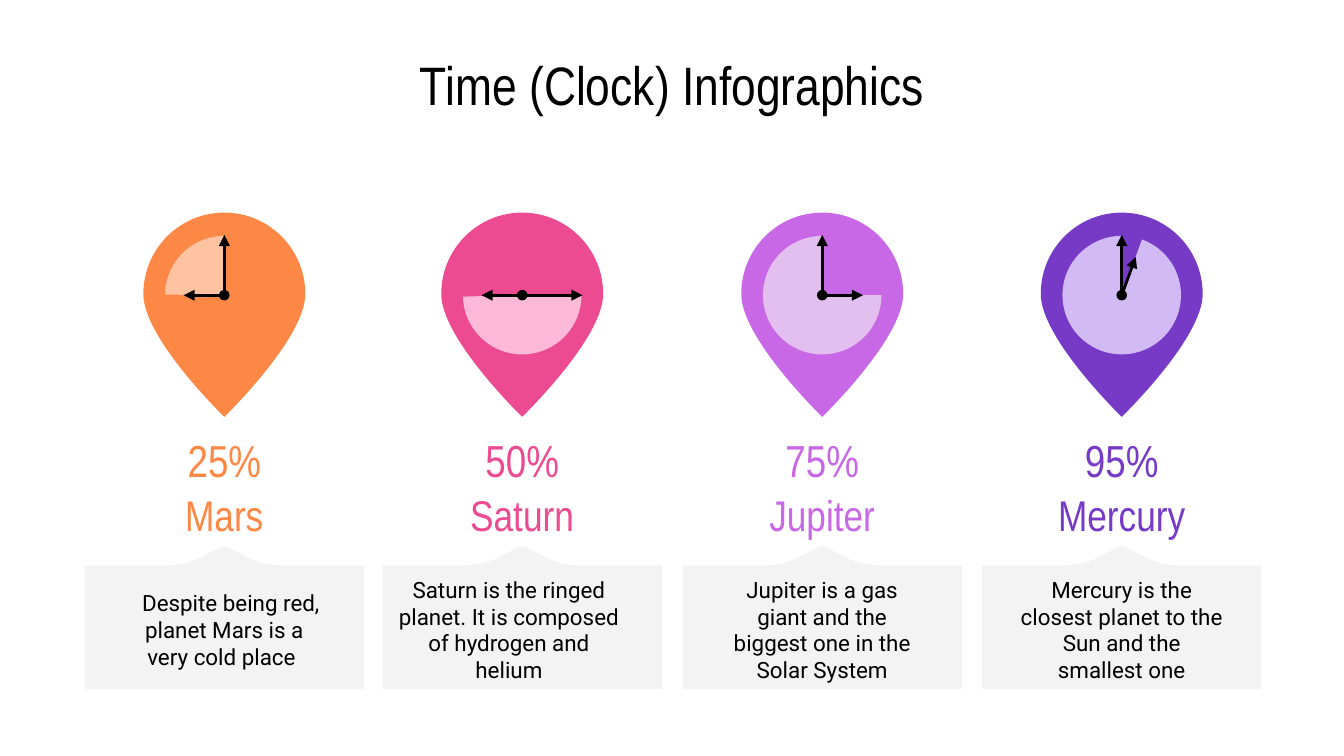
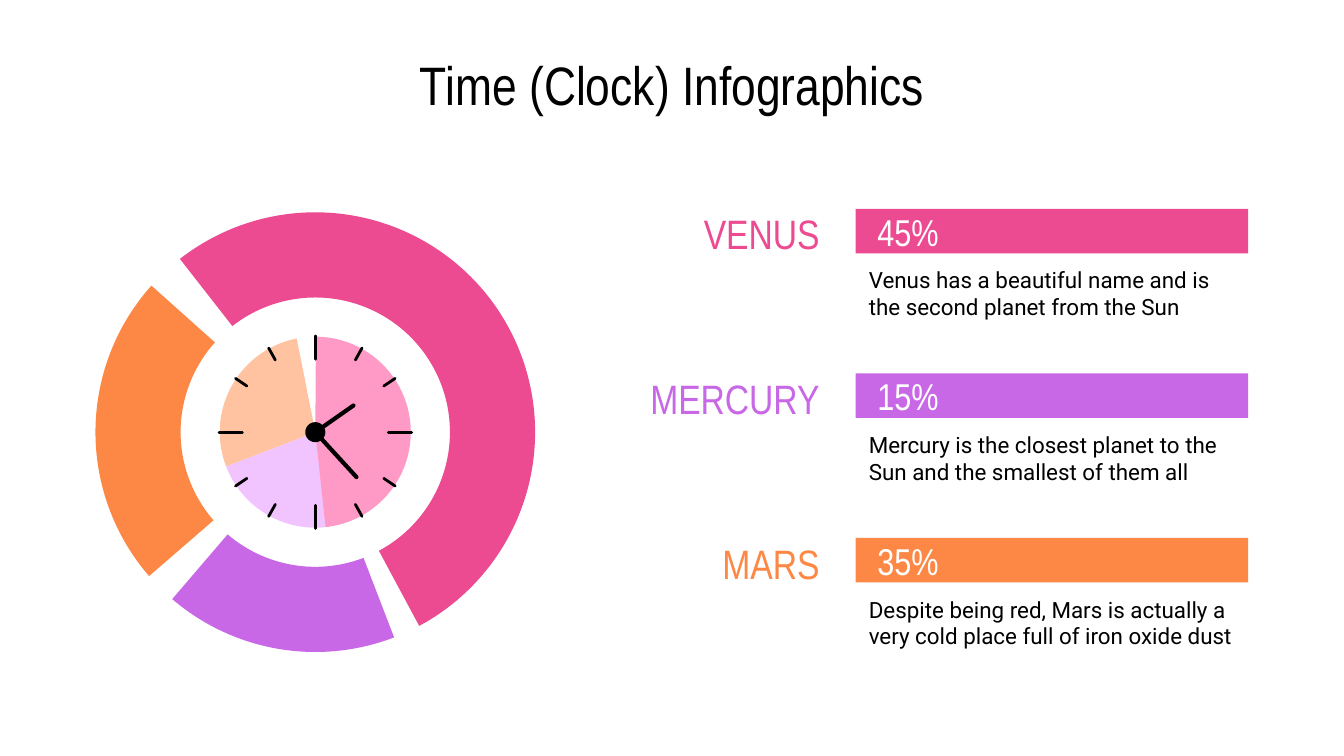
from dataclasses import dataclass
from math import cos, radians, sin

from lxml import etree
from pptx import Presentation
from pptx import util as u
from pptx.dml.color import RGBColor
from pptx.enum import shapes, text
from pptx.oxml.ns import qn
from pptx.shapes.autoshape import Shape
from pptx.slide import Slide
from pptx.text.text import TextFrame

COLORS = {
    "black": "000000",
    "white": "FFFFFF",
    "callout": "F3F3F3",
    "orange": "FD8845",
    "pink": "EC4A91",
    "orchid": "C868E6",
    "purple": "763AC7",
    "light_orange": "FFC3A1",
    "light_pink": "FFB9D8",
    "light_orchid": "E3BFEF",
    "light_purple": "D2BAF4",
    "dial_pink": "FF99C5",
    "dial_orchid": "F1C4FF",
}
HEADING_FONT = "Arial Narrow"
BODY_FONT = "Roboto"
TITLE = "Time (Clock) Infographics"
INSET = 0.25
WIDE_INSET = 0.75

Point = tuple[float, float]


@dataclass(frozen=True)
class Style:
    size: float
    color: str
    font: str = HEADING_FONT
    align: text.PP_ALIGN = text.PP_ALIGN.CENTER
    anchor: text.MSO_ANCHOR = text.MSO_ANCHOR.MIDDLE
    left_inset: float = INSET
    right_inset: float = INSET
    first_indent: float = 0


@dataclass(frozen=True)
class Pin:
    center_x: float
    percent: str
    planet: str
    description: str
    color: str
    light: str
    sector: tuple[float, float]
    minute_angle: float
    hour_angle: float
    left_inset: float = WIDE_INSET
    first_indent: float = 0


@dataclass(frozen=True)
class Segment:
    planet: str
    percent: str
    description: str
    color: str
    dial_color: str
    ring: tuple[float, float]
    sector: tuple[float, float]


PINS = [
    Pin(4.24, "25%", "Mars", "Despite being red, planet Mars is a very cold place ",
        "orange", "light_orange", (180.5, 270), 270, 180, first_indent=0.25),
    Pin(9.87, "50%", "Saturn", "Saturn is the ringed planet. It is composed of hydrogen and helium",
        "pink", "light_pink", (0, 178.6), 0, 180, left_inset=INSET),
    Pin(15.54, "75%", "Jupiter", "Jupiter is a gas giant and the biggest one in the Solar System",
        "orchid", "light_orchid", (0, 270), 270, 0),
    Pin(21.2, "95%", "Mercury", "Mercury is the closest planet to the Sun and the smallest one",
        "purple", "light_purple", (290, 270), 270, 290),
]
SEGMENTS = [
    Segment("VENUS", " 45%", "Venus has a beautiful name and is the second planet from the Sun",
            "pink", "dial_pink", (232, 61.8), (270.4, 83.8)),
    Segment("MERCURY", " 15%", "Mercury is the closest planet to the Sun and the smallest of them all",
            "orchid", "dial_orchid", (69, 130.6), (81.7, 159)),
    Segment("MARS", " 35%", "Despite being red, Mars is actually a very cold place full of iron oxide dust",
            "orange", "light_orange", (139.1, 221.8), (159, 258.8)),
]


def rgb(color: str) -> RGBColor:
    return RGBColor.from_string(COLORS[color])


def write(frame: TextFrame, content: str, style: Style) -> None:
    frame.word_wrap = True
    frame.auto_size = text.MSO_AUTO_SIZE.NONE
    frame.vertical_anchor = style.anchor
    frame.margin_left = u.Cm(style.left_inset)
    frame.margin_right = u.Cm(style.right_inset)
    frame.margin_top = frame.margin_bottom = u.Cm(INSET)
    paragraph = frame.paragraphs[0]
    paragraph.text = content
    paragraph.alignment = style.align
    paragraph.font.name = style.font
    paragraph.font.size = u.Pt(style.size)
    paragraph.font.color.rgb = rgb(style.color)
    if style.first_indent:
        properties = paragraph._p.get_or_add_pPr()
        properties.set("marL", "0")
        properties.set("indent", str(u.Cm(style.first_indent)))


def add_text(slide: Slide, left: float, top: float, width: float, height: float,
             content: str, style: Style) -> None:
    box = slide.shapes.add_textbox(u.Cm(left), u.Cm(top), u.Cm(width), u.Cm(height))
    write(box.text_frame, content, style)


def paint(shape: Shape, color: str) -> None:
    shape.shadow.inherit = False
    shape.fill.solid()
    shape.fill.fore_color.rgb = rgb(color)
    shape.line.fill.background()


def add_round(slide: Slide, kind: shapes.MSO_SHAPE, center: Point, size: float, color: str,
              angles: tuple[float, ...] = (), thickness: float | None = None) -> None:
    shape = slide.shapes.add_shape(
        kind, u.Cm(center[0] - size / 2), u.Cm(center[1] - size / 2), u.Cm(size), u.Cm(size))
    paint(shape, color)
    for index, angle in enumerate(angles):
        shape.adjustments[index] = angle * 0.6
    if thickness is not None:
        shape.adjustments[2] = thickness


def add_outline(slide: Slide, points: list[Point], close: bool = True) -> Shape:
    corners = [(u.Cm(x), u.Cm(y)) for x, y in points]
    builder = slide.shapes.build_freeform(*corners[0])
    builder.add_line_segments(corners[1:], close=close)
    return builder.convert_to_shape()


def mirror(half: list[Point]) -> list[Point]:
    return [(-x, y) for x, y in reversed(half)]


def add_curved(slide: Slide, center_x: float, points: list[Point],
               segment_sizes: list[int], color: str) -> None:
    shape = add_outline(slide, [(center_x + x, y) for x, y in points])
    paint(shape, color)
    lines = iter(list(shape._element.iter(qn("a:lnTo"))))
    for size in segment_sizes:
        segment = next(lines)
        if size == 3:
            segment.tag = qn("a:cubicBezTo")
            for extra in (next(lines), next(lines)):
                segment.append(extra[0])
                segment.getparent().remove(extra)


def polar(center: Point, radius: float, angle: float) -> Point:
    return (center[0] + radius * cos(radians(angle)), center[1] + radius * sin(radians(angle)))


def add_line(slide: Slide, start: Point, end: Point, arrow: bool = False) -> None:
    connector = slide.shapes.add_connector(
        shapes.MSO_CONNECTOR.STRAIGHT, *(u.Cm(value) for value in start + end))
    connector.line.color.rgb = rgb("black")
    connector.line.width = u.Pt(1.5)
    if arrow:
        etree.SubElement(connector.get_or_add_ln(), qn("a:tailEnd"), type="triangle")
    else:
        connector.get_or_add_ln().set("cap", "rnd")
    etree.SubElement(connector._element.spPr, qn("a:effectLst"))


def add_titled_slide(presentation: Presentation) -> Slide:
    slide = presentation.slides.add_slide(presentation.slide_layouts[5])
    title = slide.shapes.title
    title.left, title.top = u.Cm(1.27), u.Cm(1.19)
    title.width, title.height = u.Cm(22.86), u.Cm(0.79)
    write(title.text_frame, TITLE, Style(29, "black"))
    return slide


def add_pin(slide: Slide, pin: Pin) -> None:
    callout = [(2.64, 13.02), (2.64, 10.69), (1.12, 10.69), (0.84, 10.69),
               (0.56, 10.62), (0.36, 10.49), (0.1, 10.36), (0.05, 10.32)]
    drop = [(0, 4.02), (0.84, 4.02), (1.53, 4.7), (1.53, 5.56),
            (1.53, 6.4), (0, 7.88), (0, 7.88)]
    add_curved(slide, pin.center_x, callout + mirror(callout),
               [1, 1, 3, 1, 3, 1, 3, 1, 1], "callout")
    add_curved(slide, pin.center_x, drop + mirror(drop)[1:], [3] * 4, pin.color)

    text_width = 5.33
    text_left = pin.center_x - text_width / 2
    add_text(slide, pin.center_x - 1.2, 8.1, 2.4, 1.19, pin.percent, Style(24, pin.color))
    add_text(slide, text_left, 9.13, text_width, 1.19, pin.planet, Style(23, pin.color))
    add_text(slide, text_left, 11.2, text_width, 1.4, pin.description,
             Style(12, "black", BODY_FONT, left_inset=pin.left_inset,
                   right_inset=WIDE_INSET, first_indent=pin.first_indent))

    center = (pin.center_x, 5.58)
    add_round(slide, shapes.MSO_SHAPE.PIE, center, 2.24, pin.light, pin.sector)
    add_line(slide, center, polar(center, 0.77, pin.hour_angle), arrow=True)
    add_line(slide, center, polar(center, 1.14, pin.minute_angle), arrow=True)
    add_round(slide, shapes.MSO_SHAPE.OVAL, center, 0.2, "black")


def add_legend_row(slide: Slide, segment: Segment, top: float) -> None:
    left, width, height = 16.17, 7.42, 0.84
    bar = slide.shapes.add_shape(
        shapes.MSO_SHAPE.RECTANGLE, u.Cm(left), u.Cm(top), u.Cm(width), u.Cm(height))
    paint(bar, segment.color)
    write(bar.text_frame, segment.percent, Style(20, "white", align=text.PP_ALIGN.LEFT))
    add_text(slide, left, top + height, width, 1.57, segment.description,
             Style(12, "black", BODY_FONT, text.PP_ALIGN.LEFT, text.MSO_ANCHOR.TOP))
    add_text(slide, 10.51, top - 0.25, 5.23, 1.32, segment.planet,
             Style(22, segment.color, align=text.PP_ALIGN.RIGHT, anchor=text.MSO_ANCHOR.TOP))


def add_clock(slide: Slide, center: Point) -> None:
    ring_size, ring_width = 8.31, 1.61
    for segment in SEGMENTS:
        add_round(slide, shapes.MSO_SHAPE.BLOCK_ARC, center, ring_size, segment.color,
                  segment.ring, ring_width / ring_size)
    for segment in SEGMENTS[1:] + SEGMENTS[:1]:
        add_round(slide, shapes.MSO_SHAPE.PIE, center, 3.61, segment.dial_color, segment.sector)
    for angle in (0, 34, 61, 90, 119, 146):
        inner = 1.38 if angle % 90 == 0 else 1.56
        for turned in (angle, angle + 180):
            add_line(slide, polar(center, 1.82, turned), polar(center, inner, turned))
    add_round(slide, shapes.MSO_SHAPE.OVAL, center, 0.38, "black")

    hands = add_outline(slide, [polar(center, 0.88, -35), center, polar(center, 1.15, 47.5)],
                        close=False)
    hands.shadow.inherit = False
    hands.fill.background()
    hands.line.color.rgb = rgb("black")
    hands.line.width = u.Pt(2.25)
    hands.get_or_add_ln().set("cap", "rnd")


def main() -> None:
    presentation = Presentation()
    presentation.slide_width = u.Cm(25.4)
    presentation.slide_height = u.Cm(14.29)

    pin_slide = add_titled_slide(presentation)
    for pin in PINS:
        add_pin(pin_slide, pin)

    ring_slide = add_titled_slide(presentation)
    for index, segment in enumerate(SEGMENTS):
        add_legend_row(ring_slide, segment, 3.95 + index * 3.11)
    add_clock(ring_slide, (5.96, 8.17))

    presentation.save("out.pptx")


if __name__ == "__main__":
    main()
